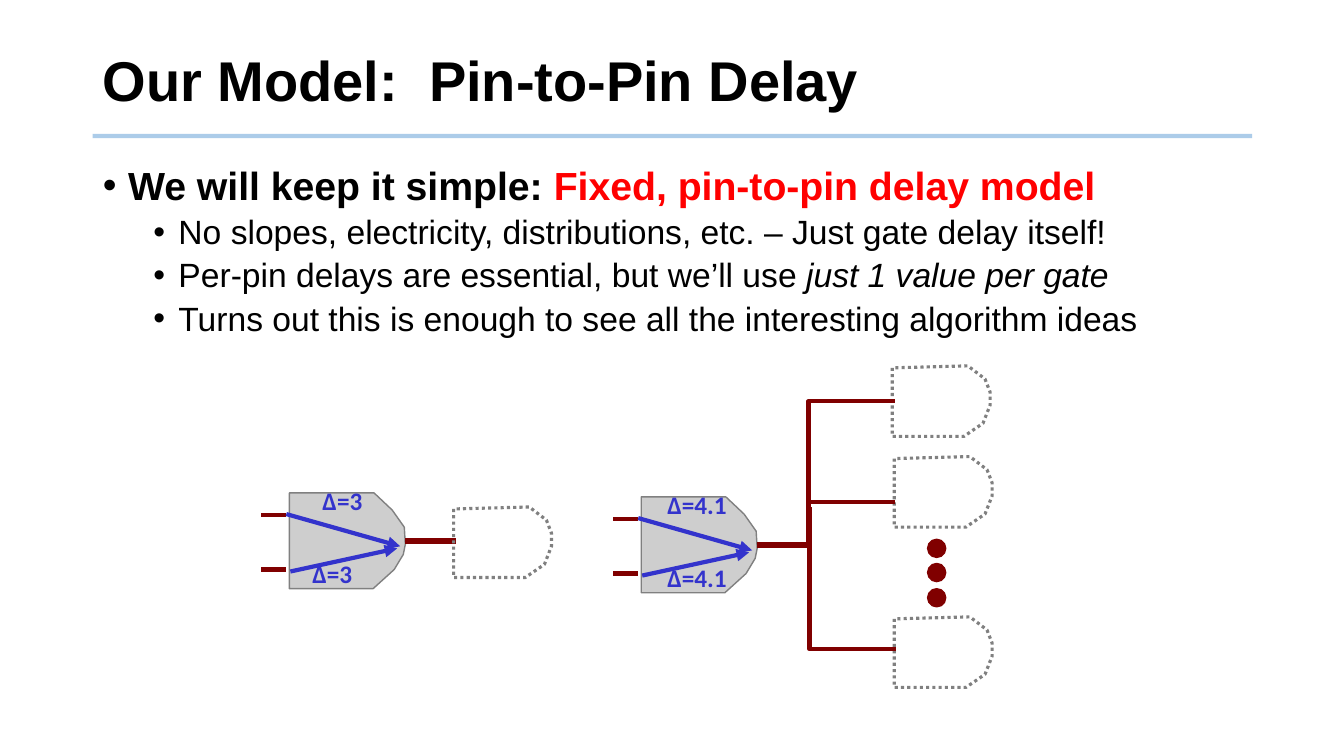
from lxml import etree
from pptx import Presentation, util as u
from pptx.dml.color import RGBColor
from pptx.enum import dml, shapes, text
from pptx.oxml.ns import qn

# Content
TITLE = "Our Model:  Pin-to-Pin Delay"
BULLETS = [  # level, runs of (text, format)
    (0, [("We will keep it simple: ", dict(bold=True)),
         ("Fixed, pin-to-pin delay model", dict(bold=True, color="FF0000"))]),
    (1, [("No slopes, electricity, distributions, etc. – Just gate delay itself!", {})]),
    (1, [("Per-pin delays are essential, but we’ll use ", {}),
         ("just 1 value per gate", dict(italic=True))]),
    (1, [("Turns out this is enough to see all the interesting algorithm ideas", {})]),
]
LEVELS = [dict(size=28, indent=0.25, before=10), dict(size=24, indent=0.75, before=5)]
DRIVERS = [  # left, top, delay, label width, label offsets from the gate's left
    (2.87, 4.89, "∆=3", 0.78, (0.23, 0.13)),
    (6.36, 4.93, "∆=4.1", 1.03, (0.16, 0.16)),
]
LOADS = [(4.5, 5.03), (8.85, 3.63), (8.87, 4.53), (8.87, 6.12)]
DOTS = [5.35, 5.59, 5.84]

# Gate outlines, relative to their top left corner
DRIVER = [(0, 0), (0, 0.95), (0.83, 0.95), (1.04, 0.76), (1.13, 0.61),
          (1.15, 0.51), (1.14, 0.34), (1.02, 0.17), (0.84, 0)]
LOAD = [(0, 0.02), (0, 0.7), (0.71, 0.7), (0.9, 0.57), (0.97, 0.39),
        (0.97, 0.26), (0.92, 0.13), (0.75, 0)]
WIRE, ARROW, EDGE, GATE = "800000", "3333CC", "808080", "CECECE"
LEFT, WIDTH = 0.92, 11.5

prs = Presentation()
prs.slide_width, prs.slide_height = u.Inches(13.33), u.Inches(7.5)
s = prs.slides.add_slide(prs.slide_layouts[1])


def rgb(value):
    return RGBColor.from_string(value)


def box(*lengths):
    return [u.Inches(v) for v in lengths]


def place(sp, *lengths):
    sp.left, sp.top, sp.width, sp.height = box(*lengths)


def add_run(p, words, size=18, font="Arial", color="000000", bold=False, italic=False):
    r = p.add_run()
    r.text = words
    f = r.font
    f.size, f.name, f.bold, f.italic = u.Pt(size), font, bold, italic
    f.color.rgb = rgb(color)


def style(sp, line, width, fill=None):
    sp.shadow.inherit = False
    sp.line.color.rgb, sp.line.width = rgb(line), u.Pt(width)
    if fill:
        sp.fill.solid()
        sp.fill.fore_color.rgb = rgb(fill)
    else:
        sp.fill.background()


def outline(points, x=0, y=0, close=True):
    pts = [box(x + dx, y + dy) for dx, dy in points]
    fb = s.shapes.build_freeform(*pts[0], scale=1.0)
    fb.add_line_segments(pts[1:], close=close)
    return fb.convert_to_shape()


def line(x1, y1, x2, y2, color=WIRE, width=3, arrow=False, alpha=None):
    c = s.shapes.add_connector(shapes.MSO_CONNECTOR.STRAIGHT, *box(x1, y1, x2, y2))
    c.line.color.rgb, c.line.width = rgb(color), u.Pt(width)
    pr = c._element.spPr
    ln = pr.find(qn("a:ln"))
    if arrow:
        etree.SubElement(ln, qn("a:tailEnd"), type="triangle")
    if alpha:
        etree.SubElement(ln.find(".//" + qn("a:srgbClr")), qn("a:alpha"), val=str(alpha * 1000))
    etree.SubElement(pr, qn("a:effectLst"))


def label(words, x, y, width):
    tf = s.shapes.add_textbox(*box(x, y, width, 0.48)).text_frame
    tf.word_wrap = False
    tf.auto_size = text.MSO_AUTO_SIZE.SHAPE_TO_FIT_TEXT
    add_run(tf.paragraphs[0], words, font="Calibri", color=ARROW, bold=True)


# Title and the rule under it
line(LEFT, 1.35, LEFT + WIDTH, 1.35, "5B9BD5", alpha=50)
place(s.shapes.title, LEFT, 0.28, WIDTH, 1.1)
tf = s.shapes.title.text_frame
tf.auto_size, tf.vertical_anchor = text.MSO_AUTO_SIZE.NONE, text.MSO_ANCHOR.MIDDLE
p = tf.paragraphs[0]
p.alignment, p.line_spacing = text.PP_ALIGN.LEFT, 0.9
add_run(p, TITLE, size=40, bold=True)

# Bullets
body = s.placeholders[1]
place(body, LEFT, 1.6, WIDTH, 5.15)
tf = body.text_frame
tf.auto_size = text.MSO_AUTO_SIZE.NONE
for i, (level, runs) in enumerate(BULLETS):
    p = tf.paragraphs[0] if i == 0 else tf.add_paragraph()
    look = LEVELS[level]
    p.level, p.line_spacing, p.space_before = level, 0.9, u.Pt(look["before"])
    pr = p._p.get_or_add_pPr()
    pr.set("marL", str(u.Inches(look["indent"])))
    pr.set("indent", str(-u.Inches(0.25)))
    etree.SubElement(pr, qn("a:buFont"), typeface="Arial")
    etree.SubElement(pr, qn("a:buChar"), char="•")
    for words, fmt in runs:
        add_run(p, words, size=look["size"], **fmt)

# Driving gates: body, input pins, pin-to-pin arrows, delays, output wire
for x, y, delay, width, offsets in DRIVERS:
    style(outline(DRIVER, x, y), EDGE, 1, GATE)
    for dy in (0.22, 0.76):
        line(x - 0.28, y + dy, x - 0.03, y + dy)
    line(x - 0.03, y + 0.21, x + 1.1, y + 0.53, ARROW, arrow=True)
    line(x + 0.01, y + 0.78, x + 1.07, y + 0.55, ARROW, arrow=True)
    for dx, dy in zip(offsets, (-0.12, 0.6)):
        label(delay, x + dx, y + dy, width)
    line(x + 1.15, y + 0.48, x + 1.65, y + 0.48, width=4.5)

# Driven gates
for x, y in LOADS:
    sp = outline(LOAD, x, y)
    style(sp, EDGE, 2.25)
    sp.line.dash_style = dml.MSO_LINE.ROUND_DOT

# Fan-out wires
for branch in ([(8.02, 5.39), (8.02, 3.98), (8.88, 3.98)],
               [(8.03, 5.03), (8.03, 6.44), (8.89, 6.44)]):
    style(outline(branch, close=False), WIRE, 3)
line(8.04, 4.98, 8.88, 4.98)

# Dots for further gates
for y in DOTS:
    style(s.shapes.add_shape(shapes.MSO_SHAPE.OVAL, *box(9.2, y, 0.18, 0.18)), WIRE, 1, WIRE)

prs.save("out.pptx")
